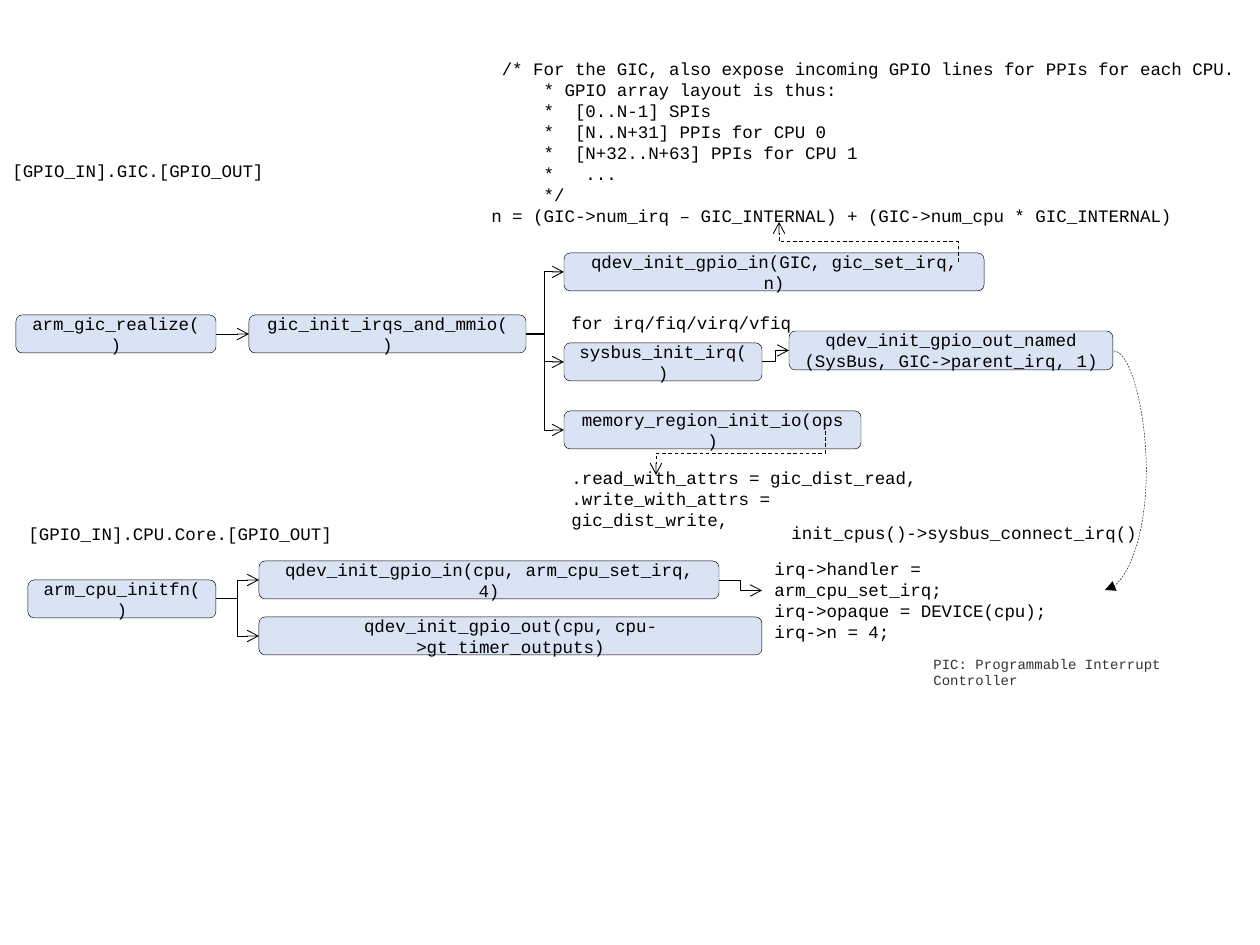
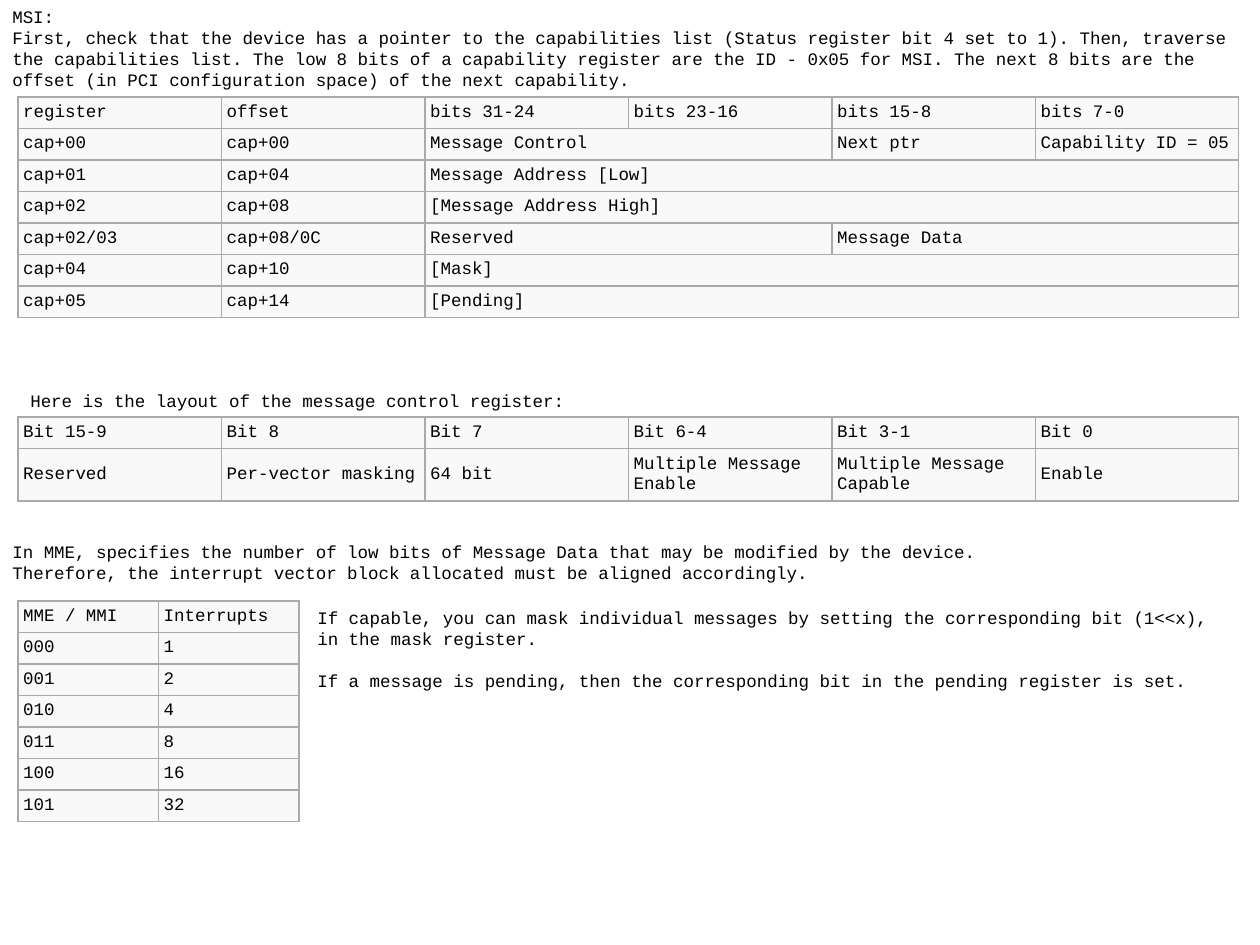
from lxml import etree
from pptx import Presentation
from pptx.dml.color import RGBColor
from pptx.enum.dml import MSO_LINE
from pptx.enum.shapes import MSO_CONNECTOR, MSO_SHAPE
from pptx.enum.text import MSO_ANCHOR, PP_ALIGN
from pptx.oxml.ns import qn
from pptx.util import Emu, Pt

ELBOW, CURVE, STRAIGHT = MSO_CONNECTOR.ELBOW, MSO_CONNECTOR.CURVE, MSO_CONNECTOR.STRAIGHT
ROUNDED = MSO_SHAPE.ROUNDED_RECTANGLE
DASH = MSO_LINE.DASH
TOP, MIDDLE = MSO_ANCHOR.TOP, MSO_ANCHOR.MIDDLE
LEFT, CENTER = PP_ALIGN.LEFT, PP_ALIGN.CENTER
LEFT_SITE, RIGHT_SITE = 1, 3

PX_PER_INCH = 126
SLIDE_W, SLIDE_H = 1260, 945
BLANK_LAYOUT = 6
FONT = "Courier New"
COLORS = {
    "text": "000000",
    "note": "333333",
    "line": "000000",
    "call": "DAE3F3",
    "cell": "F9F9F9",
    "border": "AAAAAA",
}
BOX_H = 38
TABLE_X, TABLE_W, ROW_H = 18, 1221, 31

GIC_COMMENT = """\
 /* For the GIC, also expose incoming GPIO lines for PPIs for each CPU.
     * GPIO array layout is thus:
     *  [0..N-1] SPIs
     *  [N..N+31] PPIs for CPU 0
     *  [N+32..N+63] PPIs for CPU 1
     *   ...
     */
n = (GIC->num_irq – GIC_INTERNAL) + (GIC->num_cpu * GIC_INTERNAL)"""
IRQ_FIELDS = """\
irq->handler = arm_cpu_set_irq;
irq->opaque = DEVICE(cpu);
irq->n = 4;"""
MSI_INTRO = (
    "MSI:\n"
    "First, check that the device has a pointer to the capabilities list "
    "(Status register bit 4 set to 1). Then, traverse the capabilities list. "
    "The low 8 bits of a capability register are the ID - 0x05 for MSI. "
    "The next 8 bits are the offset (in PCI configuration space) of the next capability."
)
MME_NOTE = (
    "In MME, specifies the number of low bits of Message Data that may be modified by the device.\n"
    "Therefore, the interrupt vector block allocated must be aligned accordingly."
)
MASK_NOTE = (
    "If capable, you can mask individual messages by setting the corresponding bit (1<<x), "
    "in the mask register.\n"
    "If a message is pending, then the corresponding bit in the pending register is set."
)

# None continues the cell to its left.
CAPABILITY_ROWS = [
    ["register", "offset", "bits 31-24", "bits 23-16", "bits 15-8", "bits 7-0"],
    ["cap+00", "cap+00", "Message Control", None, "Next ptr", "Capability ID = 05"],
    ["cap+01", "cap+04", "Message Address [Low]", None, None, None],
    ["cap+02", "cap+08", "[Message Address High]", None, None, None],
    ["cap+02/03", "cap+08/0C", "Reserved", None, "Message Data", None],
    ["cap+04", "cap+10", "[Mask]", None, None, None],
    ["cap+05", "cap+14", "[Pending]", None, None, None],
]
CONTROL_ROWS = [
    ["Bit 15-9", "Bit 8", "Bit 7", "Bit 6-4", "Bit 3-1", "Bit 0"],
    ["Reserved", "Per-vector masking", "64 bit", "Multiple Message Enable",
     "Multiple Message Capable", "Enable"],
]
INTERRUPT_ROWS = [["MME / MMI", "Interrupts"]] + [
    [f"{code:03b}", str(2 ** code)] for code in range(6)
]


def px(length):
    return Emu(round(length * 914400 / PX_PER_INCH))


def rgb(name):
    return RGBColor.from_string(COLORS[name])


def write(frame, text, size=10, color="text", align=LEFT, gap=0):
    """Fill a text frame, one paragraph a line, with gap points between them."""
    for index, line in enumerate(text.split("\n")):
        paragraph = frame.add_paragraph() if index else frame.paragraphs[0]
        paragraph.alignment = align
        if index and gap:
            paragraph.space_before = Pt(gap)
        run = paragraph.add_run()
        run.text = line
        run.font.name = FONT
        run.font.size = Pt(size)
        run.font.color.rgb = rgb(color)


def add_text(slide, text, x, y, w, h, anchor=TOP, wrap=True, **text_format):
    box = slide.shapes.add_textbox(px(x), px(y), px(w), px(h))
    box.text_frame.word_wrap = wrap
    box.text_frame.vertical_anchor = anchor
    write(box.text_frame, text, **text_format)
    return box


def add_call(slide, text, x, y, w, h=BOX_H):
    """Draw a rounded box that holds a function call."""
    box = slide.shapes.add_shape(ROUNDED, px(x), px(y), px(w), px(h))
    box.shadow.inherit = False
    box.fill.solid()
    box.fill.fore_color.rgb = rgb("call")
    box.line.color.rgb = rgb("line")
    box.line.width = Pt(0.25)
    box.text_frame.word_wrap = True
    box.text_frame.vertical_anchor = MIDDLE
    write(box.text_frame, text, align=CENTER)
    return box


def add_arrow(slide, kind, start=(0, 0), end=(0, 0), width=0.5, dash=None, head="arrow"):
    arrow = slide.shapes.add_connector(kind, *map(px, start + end))
    arrow.line.color.rgb = rgb("line")
    arrow.line.width = Pt(width)
    if dash:
        arrow.line.dash_style = dash
    properties = arrow.element.spPr
    etree.SubElement(properties.find(qn("a:ln")), qn("a:tailEnd"), type=head)
    etree.SubElement(properties, qn("a:effectLst"))
    return arrow


def link_calls(slide, caller, callee):
    """Join the right side of caller to the left side of callee."""
    level = caller.top == callee.top
    arrow = add_arrow(slide, STRAIGHT if level else ELBOW)
    arrow.begin_connect(caller, RIGHT_SITE)
    arrow.end_connect(callee, LEFT_SITE)


def add_detail_arrow(slide, start, end):
    """Draw a dashed elbow that leaves start vertically and runs left to end."""
    (x1, y1), (x2, y2) = start, end
    mid_x, mid_y = (x1 + x2) / 2, (y1 + y2) / 2
    half_w, half_h = abs(y2 - y1) / 2, abs(x2 - x1) / 2
    upward = y2 < y1
    if upward:
        half_h = -half_h
    arrow = add_arrow(slide, ELBOW, (mid_x - half_w, mid_y - half_h),
                      (mid_x + half_w, mid_y + half_h), dash=DASH)
    turn = 270 if upward else 90
    arrow.element.spPr.find(qn("a:xfrm")).set("rot", str(turn * 60000))


def add_connect_curve(slide, start, end, bulge):
    """Draw a dashed curve whose bulge is a share of its width."""
    curve = add_arrow(slide, CURVE, start, end, width=0.25, dash=DASH, head="triangle")
    adjustments = curve.element.spPr.find(qn("a:prstGeom")).get_or_add_avLst()
    etree.SubElement(adjustments, qn("a:gd"), name="adj1",
                     fmla=f"val {round(bulge * 100000)}")


def format_cell(cell):
    cell.fill.solid()
    cell.fill.fore_color.rgb = rgb("cell")
    cell.vertical_anchor = MIDDLE
    cell.margin_left = cell.margin_right = cell.margin_top = cell.margin_bottom = Pt(3)
    properties = cell._tc.get_or_add_tcPr()
    for position, side in enumerate(("a:lnL", "a:lnR", "a:lnT", "a:lnB")):
        border = etree.Element(qn(side), w=str(Pt(0.75)))
        fill = etree.SubElement(border, qn("a:solidFill"))
        etree.SubElement(fill, qn("a:srgbClr"), val=COLORS["border"])
        properties.insert(position, border)


def add_register_table(slide, rows, y, w=TABLE_W, heights=None):
    heights = heights or [ROW_H] * len(rows)
    columns = len(rows[0])
    table = slide.shapes.add_table(len(rows), columns, px(TABLE_X), px(y),
                                   px(w), px(sum(heights))).table
    table.first_row = table.horz_banding = False
    for r, row in enumerate(rows):
        table.rows[r].height = px(heights[r])
        for c, text in enumerate(row):
            cell = table.cell(r, c)
            format_cell(cell)
            if text is None:
                continue
            write(cell.text_frame, text)
            last = c
            while last + 1 < columns and row[last + 1] is None:
                last += 1
            if last > c:
                cell.merge(table.cell(r, last))


def build_gpio_slide(slide):
    add_text(slide, "[GPIO_IN].GIC.[GPIO_OUT]", 0, 154, 343, 34)
    add_text(slide, GIC_COMMENT, 479, 52, 781, 183)
    add_text(slide, "for irq/fiq/virq/vfiq", 559, 306, 253, 34)
    add_text(slide, ".read_with_attrs = gic_dist_read,\n.write_with_attrs = gic_dist_write,",
             559, 461, 388, 55)
    realize = add_call(slide, "arm_gic_realize()", 16, 315, 200)
    init_mmio = add_call(slide, "gic_init_irqs_and_mmio()", 249, 315, 277)
    gic_in = add_call(slide, "qdev_init_gpio_in(GIC, gic_set_irq, n)", 564, 253, 420)
    sysbus_irq = add_call(slide, "sysbus_init_irq()", 564, 343, 198)
    out_named = add_call(slide, "qdev_init_gpio_out_named\n(SysBus, GIC->parent_irq, 1)",
                         789, 331, 324, 39)
    region_io = add_call(slide, "memory_region_init_io(ops)", 564, 411, 297)

    add_text(slide, "[GPIO_IN].CPU.Core.[GPIO_OUT]", 16, 517, 343, 34)
    add_text(slide, "init_cpus()->sysbus_connect_irq()", 779, 516, 386, 34)
    cpu_init = add_call(slide, "arm_cpu_initfn()", 28, 580, 188)
    cpu_in = add_call(slide, "qdev_init_gpio_in(cpu, arm_cpu_set_irq, 4)", 259, 561, 460)
    cpu_out = add_call(slide, "qdev_init_gpio_out(cpu, cpu->gt_timer_outputs)", 259, 617, 503)
    irq_fields = add_text(slide, IRQ_FIELDS, 762, 552, 343, 77)
    add_text(slide, "PIC: Programmable Interrupt Controller", 921, 649, 343, 30,
             size=8, color="note")

    for caller, callee in (
        (realize, init_mmio), (init_mmio, gic_in), (init_mmio, sysbus_irq),
        (init_mmio, region_io), (sysbus_irq, out_named),
        (cpu_init, cpu_in), (cpu_init, cpu_out), (cpu_in, irq_fields),
    ):
        link_calls(slide, caller, callee)
    add_detail_arrow(slide, (958, 262), (779, 222))
    add_detail_arrow(slide, (825, 431), (656, 475))
    add_connect_curve(slide, (1114, 351), (1105, 590), bulge=-3.61)


def build_msi_slide(slide):
    add_text(slide, MSI_INTRO, 0, 0, SLIDE_W, 97)
    add_register_table(slide, CAPABILITY_ROWS, 97)
    add_text(slide, "Here is the layout of the message control register:",
             18, 383, 566, 34, anchor=MIDDLE, wrap=False)
    add_register_table(slide, CONTROL_ROWS, 417, heights=[ROW_H, 52])
    add_text(slide, MME_NOTE, 0, 535, 1240, 55)
    add_register_table(slide, INTERRUPT_ROWS, 601, w=281)
    add_text(slide, MASK_NOTE, 305, 601, 936, 97, gap=12)


def main():
    deck = Presentation()
    deck.slide_width, deck.slide_height = px(SLIDE_W), px(SLIDE_H)
    for build in (build_gpio_slide, build_msi_slide):
        build(deck.slides.add_slide(deck.slide_layouts[BLANK_LAYOUT]))
    deck.save("out.pptx")


if __name__ == "__main__":
    main()
